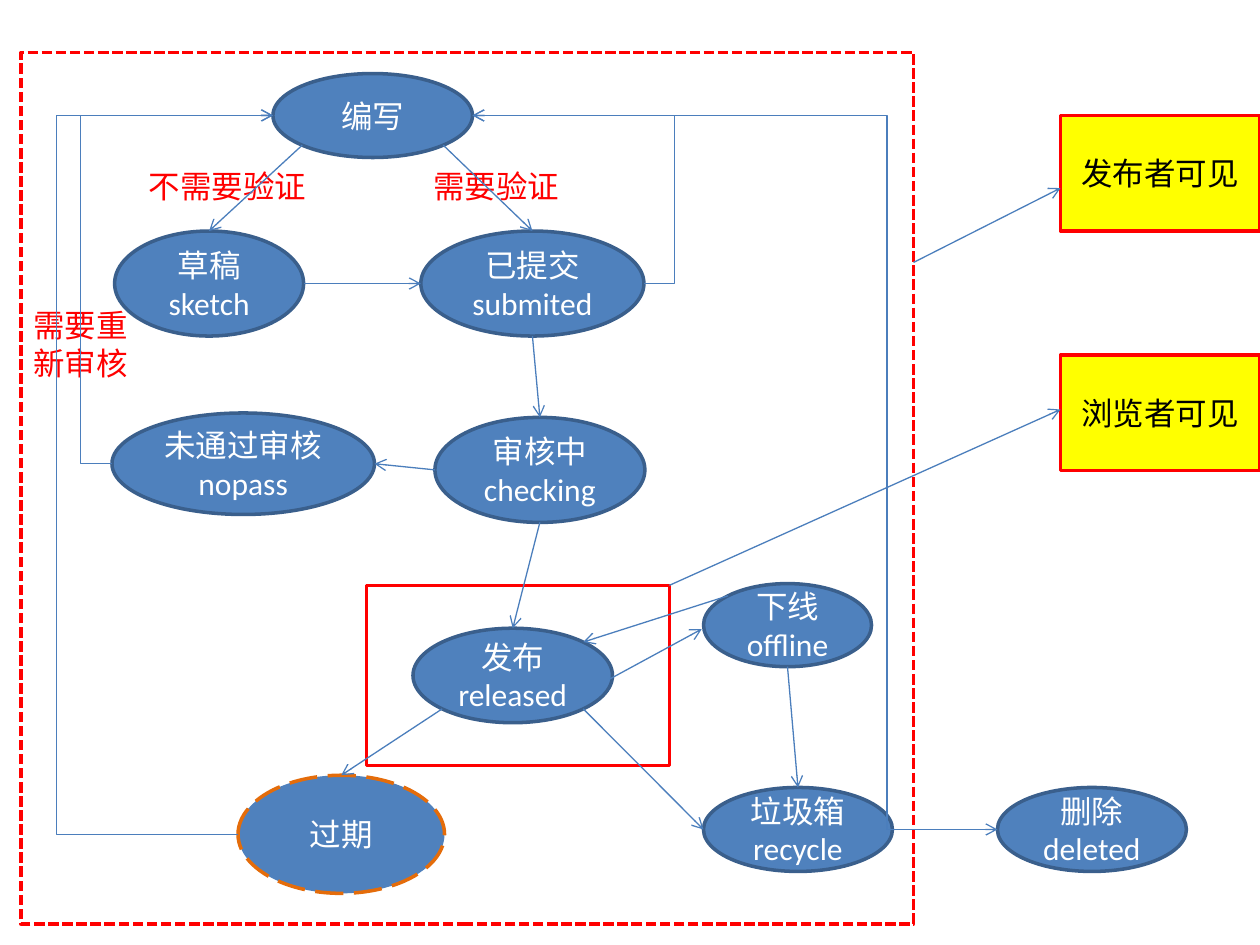
from dataclasses import dataclass
from math import cos, radians, sin
from typing import Optional

from lxml import etree
from pptx import Presentation
from pptx.dml.color import RGBColor
from pptx.enum.dml import MSO_LINE
from pptx.enum.shapes import MSO_CONNECTOR, MSO_SHAPE
from pptx.enum.text import MSO_ANCHOR, MSO_AUTO_SIZE, PP_ALIGN
from pptx.oxml.ns import qn
from pptx.util import Pt

OVAL, RECTANGLE = MSO_SHAPE.OVAL, MSO_SHAPE.RECTANGLE
STRAIGHT, ELBOW = MSO_CONNECTOR.STRAIGHT, MSO_CONNECTOR.ELBOW
LONG_DASH, SHORT_DASH = MSO_LINE.LONG_DASH, MSO_LINE.SQUARE_DOT
MIDDLE, CENTER = MSO_ANCHOR.MIDDLE, PP_ALIGN.CENTER
FIT_SHAPE = MSO_AUTO_SIZE.SHAPE_TO_FIT_TEXT

BLUE, DARK_BLUE, ARROW_BLUE = "4F81BD", "3A5F8C", "4B7EBC"
RED, YELLOW, ORANGE = "FF0000", "FFFF00", "E46C0A"
WHITE, BLACK = "FFFFFF", "000000"

# Clockwise angle of each connection site, starting at the right
SITES = {"right": 0, "bottom right": 45, "bottom": 90, "bottom left": 135,
         "left": 180, "top left": 225, "top": 270, "top right": 315}


@dataclass
class Node:
    """A box or ellipse with its text lines and colours."""
    left: float
    top: float
    width: float
    height: float
    lines: tuple = ()
    fill: Optional[str] = BLUE
    outline: str = DARK_BLUE
    ink: str = WHITE
    dash: Optional[MSO_LINE] = None

    def site(self, name: str) -> tuple:
        """Return the point of a connection site on the ellipse."""
        angle = radians(SITES[name])
        return (self.left + self.width / 2 * (1 + cos(angle)),
                self.top + self.height / 2 * (1 + sin(angle)))


@dataclass
class Link:
    """An arrow; bend_x is the vertical leg of a bent one."""
    start: tuple
    end: tuple
    bend_x: Optional[float] = None


@dataclass
class Label:
    """Free red text."""
    left: float
    top: float
    width: float
    height: float
    text: str


def rgb(hex_color: str) -> RGBColor:
    """Turn a hex string into a colour."""
    return RGBColor.from_string(hex_color)


def add_run(paragraph, text: str, color: str) -> None:
    """Add one formatted run."""
    run = paragraph.add_run()
    run.text = text
    run.font.name = "Calibri"
    run.font.size = Pt(18)
    run.font.color.rgb = rgb(color)


def draw_node(slide, node: Node, geometry) -> None:
    """Draw a node as the given preset shape."""
    shape = slide.shapes.add_shape(geometry, Pt(node.left), Pt(node.top),
                                   Pt(node.width), Pt(node.height))
    shape.shadow.inherit = False
    if node.fill:
        shape.fill.solid()
        shape.fill.fore_color.rgb = rgb(node.fill)
    else:
        shape.fill.background()
    shape.line.color.rgb = rgb(node.outline)
    shape.line.width = Pt(2)
    if node.dash:
        shape.line.dash_style = node.dash
    frame = shape.text_frame
    frame.word_wrap = True
    frame.vertical_anchor = MIDDLE
    for index, line in enumerate(node.lines):
        paragraph = frame.add_paragraph() if index else frame.paragraphs[0]
        paragraph.alignment = CENTER
        add_run(paragraph, line, node.ink)


def draw_label(slide, label: Label) -> None:
    """Draw a free text label."""
    frame = slide.shapes.add_textbox(Pt(label.left), Pt(label.top),
                                     Pt(label.width), Pt(label.height)).text_frame
    frame.word_wrap = True
    frame.auto_size = FIT_SHAPE
    add_run(frame.paragraphs[0], label.text, RED)


def draw_link(slide, link: Link) -> None:
    """Draw a straight or bent arrow."""
    kind = STRAIGHT if link.bend_x is None else ELBOW
    arrow = slide.shapes.add_connector(kind, *map(Pt, link.start + link.end))
    arrow.line.color.rgb = rgb(ARROW_BLUE)
    arrow.line.width = Pt(0.75)
    properties = arrow._element.spPr
    etree.SubElement(properties.find(qn("a:ln")), qn("a:tailEnd"), type="arrow")
    etree.SubElement(properties, qn("a:effectLst"))
    if link.bend_x is not None:
        share = (link.bend_x - link.start[0]) / (link.end[0] - link.start[0])
        guides = properties.find(qn("a:prstGeom")).find(qn("a:avLst"))
        etree.SubElement(guides, qn("a:gd"), name="adj1",
                         fmla=f"val {round(share * 100000)}")


writing = Node(156, 42, 114, 48, ("编写",))
sketch = Node(65.5, 132, 108, 60, ("草稿", "sketch"))
submitted = Node(240.5, 132, 127.5, 60, ("已提交", "submited"))
checking = Node(248.5, 238.5, 120, 60, ("审核中", "checking"))
no_pass = Node(64, 236, 150, 58, ("未通过审核", "nopass"))
released = Node(236, 359, 114, 54, ("发布", "released"))
offline = Node(402, 333.5, 96, 47.5, ("下线", "offline"))
recycle = Node(402, 450, 108, 48, ("垃圾箱recycle",))
deleted = Node(570, 450, 108, 48, ("删除", "deleted"))
expired = Node(136, 443, 118, 67.5, ("过期",), outline=ORANGE, dash=LONG_DASH)
states = [writing, sketch, submitted, checking, no_pass, released, offline,
          recycle, deleted, expired]

publisher_scope = Node(12, 30, 510, 498, fill=None, outline=RED, dash=SHORT_DASH)
visitor_scope = Node(209.5, 334.5, 173, 103, fill=None, outline=RED)
audiences = [Node(606, top, 114, 66, (text,), YELLOW, RED, BLACK)
             for top, text in ((66, "发布者可见"), (203, "浏览者可见"))]

labels = [Label(78, 92, 116, 29, "不需要验证"),
          Label(240.5, 92, 91.5, 29, "需要验证"),
          Label(12, 171.5, 84, 51, "需要重新审核")]

links = [
    Link(writing.site("bottom right"), submitted.site("top")),
    Link(writing.site("bottom left"), sketch.site("top")),
    Link(sketch.site("right"), submitted.site("left")),
    Link(submitted.site("bottom"), checking.site("top")),
    Link(checking.site("left"), no_pass.site("right")),
    Link(checking.site("bottom"), released.site("top")),
    Link((348.5, 388), (401, 359.5)),
    Link(offline.site("top left"), released.site("top right")),
    Link(released.site("bottom right"), recycle.site("left")),
    Link(released.site("bottom left"), expired.site("top")),
    Link(offline.site("bottom"), recycle.site("top")),
    Link(recycle.site("right"), deleted.site("left")),
    Link(submitted.site("right"), writing.site("right"), 385.5),
    Link(recycle.site("right"), writing.site("right"), 507),
    Link(expired.site("left"), writing.site("left"), 32.5),
    Link(no_pass.site("left"), writing.site("left"), 46),
    Link((522, 150), (606, 107.5)),
    Link((382.5, 334.5), (606, 234)),
]

presentation = Presentation()
presentation.slide_width, presentation.slide_height = Pt(720), Pt(540)
slide = presentation.slides.add_slide(presentation.slide_layouts[6])
for state in states:
    draw_node(slide, state, OVAL)
for label in labels:
    draw_label(slide, label)
for box in [publisher_scope, visitor_scope, *audiences]:
    draw_node(slide, box, RECTANGLE)
for link in links:
    draw_link(slide, link)
presentation.save("out.pptx")
